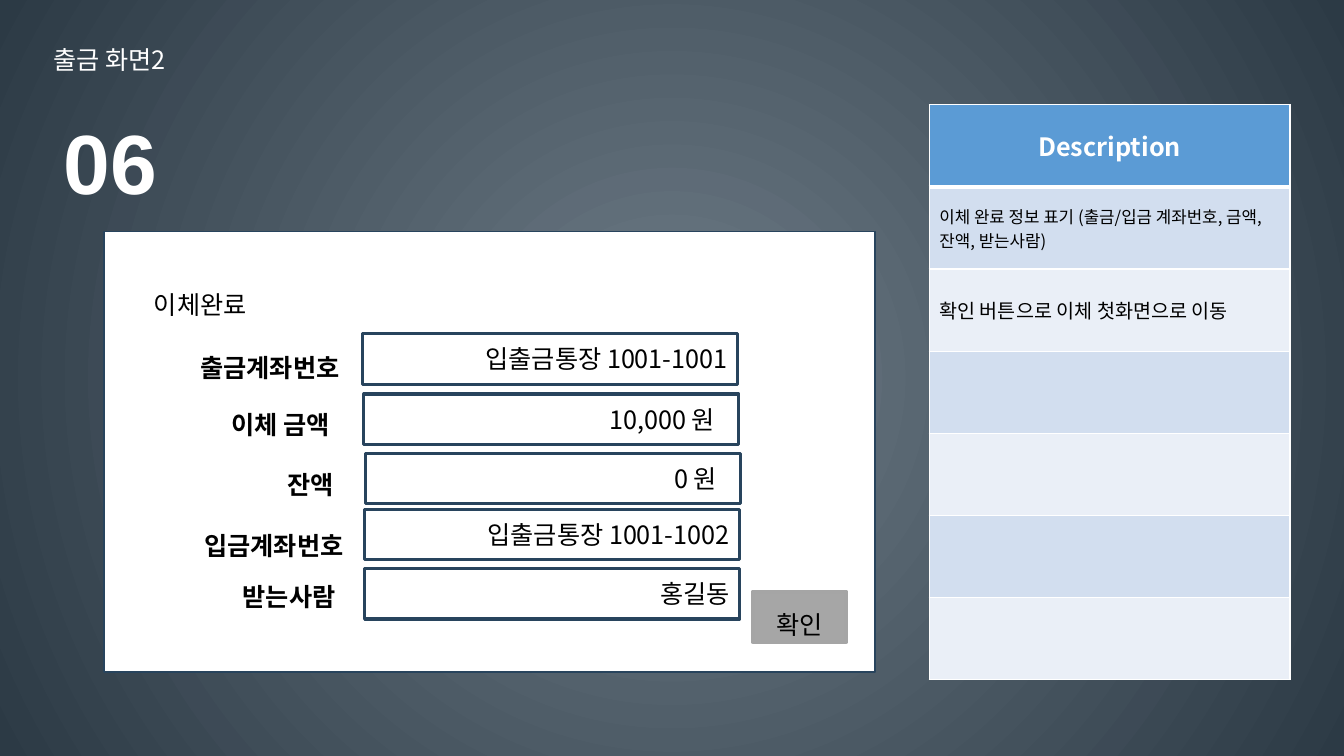
from lxml import etree
from pptx import Presentation
from pptx.dml.color import RGBColor
from pptx.enum.text import MSO_ANCHOR as Anchor, MSO_AUTO_SIZE as AutoSize, PP_ALIGN as Align
from pptx.enum.shapes import MSO_SHAPE as Shape
from pptx.oxml import parse_xml
from pptx.oxml.ns import nsdecls, qn
from pptx.util import Cm, Pt

WHITE = RGBColor(0xFF, 0xFF, 0xFF)
BLACK = RGBColor(0, 0, 0)
NAVY = RGBColor(0x28, 0x44, 0x5D)
BUTTON_GREY = RGBColor(0xA6, 0xA6, 0xA6)
BUTTON_EDGE = RGBColor(0xA5, 0xA5, 0xA5)
HEADER_BLUE = RGBColor(0x5B, 0x9B, 0xD5)
BAND_DARK = RGBColor(0xD2, 0xDE, 0xEF)
BAND_LIGHT = RGBColor(0xEA, 0xEF, 0xF7)
BACKDROP_INNER = RGBColor(0x6E, 0x7C, 0x87)
BACKDROP_OUTER = RGBColor(0x2C, 0x3A, 0x45)
KOREAN = "Noto Sans CJK KR"


class Screen:
    """Holds the slide being built and its shared text style."""

    def __init__(self, slide):
        self.slide = slide
        self.font = KOREAN

    def backdrop(self, inner, outer):
        """Fill the background with a circular gradient."""
        fill = self.slide.background.fill
        fill.gradient()
        for stop, color in zip(fill.gradient_stops, (inner, outer)):
            stop.color.rgb = color
        gradient = self.slide.element.find(".//" + qn("a:gradFill"))
        gradient.replace(gradient.find(qn("a:lin")), parse_xml(
            f'<a:path {nsdecls("a")} path="circle">'
            '<a:fillToRect l="50000" t="50000" r="50000" b="50000"/></a:path>'))

    def add_text(self, frame, text, size=18, color=BLACK, bold=False, align=Align.LEFT,
                 spacing=None, font=None):
        """Put one styled run into a text frame."""
        paragraph = frame.paragraphs[0]
        paragraph.alignment = align
        if spacing:
            paragraph.line_spacing = spacing
        run = paragraph.add_run()
        run.text = text
        run.font.size, run.font.bold = Pt(size), bold
        run.font.color.rgb = color
        run.font.name = font or self.font
        east_asian = etree.SubElement(run.font._element, qn("a:ea"))
        east_asian.set("typeface", font or self.font)

    def title(self, text, left, top, width, height):
        """Place and format the title placeholder."""
        heading = self.slide.shapes.title
        heading.left, heading.top = Cm(left), Cm(top)
        heading.width, heading.height = Cm(width), Cm(height)
        frame = heading.text_frame
        frame.word_wrap, frame.auto_size = True, AutoSize.SHAPE_TO_FIT_TEXT
        frame.vertical_anchor = Anchor.TOP
        self.add_text(frame, text, color=WHITE, spacing=1.5)

    def label(self, text, left, top, width, height=1.27, wrap=True, **style):
        """Add a text box."""
        box = self.slide.shapes.add_textbox(Cm(left), Cm(top), Cm(width), Cm(height))
        box.text_frame.word_wrap = wrap
        box.text_frame.auto_size = AutoSize.SHAPE_TO_FIT_TEXT
        self.add_text(box.text_frame, text, spacing=1.5, **style)

    def box(self, left, top, width, height, fill, edge, weight):
        """Add an outlined rectangle and return its text frame."""
        shape = self.slide.shapes.add_shape(
            Shape.RECTANGLE, Cm(left), Cm(top), Cm(width), Cm(height))
        shape.shadow.inherit = False
        if fill is None:
            shape.fill.background()
        else:
            shape.fill.solid()
            shape.fill.fore_color.rgb = fill
        shape.line.color.rgb, shape.line.width = edge, Pt(weight)
        shape.text_frame.vertical_anchor = Anchor.MIDDLE
        return shape.text_frame

    def field(self, text, left, top, right_inset):
        """Add a right-aligned value field."""
        frame = self.box(left, top, 9.45, 1.27, None, NAVY, 2.25)
        frame.margin_right = Cm(right_inset)
        self.add_text(frame, text, align=Align.RIGHT)

    def button(self, text, left, top, width, height):
        """Add a grey push button."""
        frame = self.box(left, top, width, height, BUTTON_GREY, BUTTON_EDGE, 3)
        frame.auto_size = AutoSize.SHAPE_TO_FIT_TEXT
        self.add_text(frame, text, align=Align.CENTER, spacing=1.5)

    def borders(self, cell, weights):
        """Draw white borders, given as points per side tag."""
        properties = cell._tc.get_or_add_tcPr()
        for place, (side, weight) in enumerate(weights.items()):
            properties.insert(place, parse_xml(
                f'<a:{side} {nsdecls("a")} w="{Pt(weight)}"><a:solidFill>'
                f'<a:srgbClr val="{WHITE}"/></a:solidFill></a:{side}>'))

    def description(self, header, notes, row_count, left, top, width, row_height):
        """Add the banded description table."""
        table = self.slide.shapes.add_table(
            row_count, 1, Cm(left), Cm(top), Cm(width), Cm(row_height * row_count)).table
        for index, row in enumerate(table.rows):
            row.height = Cm(row_height)
            cell = row.cells[0]
            cell.vertical_anchor = Anchor.MIDDLE
            cell.fill.solid()
            band = BAND_DARK if index % 2 else BAND_LIGHT
            cell.fill.fore_color.rgb = band if index else HEADER_BLUE
            self.borders(cell, {"lnL": 1, "lnR": 1, "lnT": 3 if index == 1 else 1,
                                "lnB": 1 if index else 3})
        self.add_text(table.cell(0, 0).text_frame, header, color=WHITE, bold=True,
                      align=Align.CENTER)
        for index, (text, size) in enumerate(notes, start=1):
            self.add_text(table.cell(index, 0).text_frame, text, size=size)


def main():
    """Build the transfer-complete screen and save it."""
    deck = Presentation()
    deck.slide_width, deck.slide_height = Cm(33.87), Cm(19.05)
    screen = Screen(deck.slides.add_slide(deck.slide_layouts[5]))
    screen.backdrop(BACKDROP_INNER, BACKDROP_OUTER)
    screen.title("출금 화면2", 1.09, 0.61, 22.35, 1.27)
    screen.box(2.62, 5.84, 19.43, 11.1, WHITE, NAVY, 1)
    screen.label("06", 1.35, 1.4, 3, 3.61, wrap=False, size=60, color=WHITE,
                 bold=True, font="Arial")
    screen.label("이체완료", 3.63, 6.78, 22.35)
    screen.button("확인", 18.97, 14.91, 2.36, 1.27)

    transfer_rows = [
        ("출금계좌번호", 4.8, 8.38, 12.04, "입출금통장 1001-1001", 9.14, 8.41, 0.25),
        ("이체 금액", 5.59, 9.8, 14.63, "10,000 원", 9.17, 9.93, 0.6),
        ("잔액", 6.99, 11.33, 13.36, "0 원", 9.22, 11.43, 0.6),
        ("입금계좌번호", 4.9, 12.85, 13.36, "입출금통장 1001-1002", 9.19, 12.83, 0.25),
        ("받는사람", 5.87, 14.15, 13.36, "홍길동", 9.19, 14.33, 0.25),
    ]
    for name, name_left, name_top, name_width, value, left, top, inset in transfer_rows:
        screen.label(name, name_left, name_top, name_width, bold=True)
        screen.field(value, left, top, inset)

    notes = [("이체 완료 정보 표기 (출금/입금 계좌번호, 금액, 잔액, 받는사람)", 12),
             ("확인 버튼으로 이체 첫화면으로 이동", 14)]
    screen.description("Description", notes, 7, 23.42, 2.64, 9.09, 2.07)
    deck.save("out.pptx")


if __name__ == "__main__":
    main()
